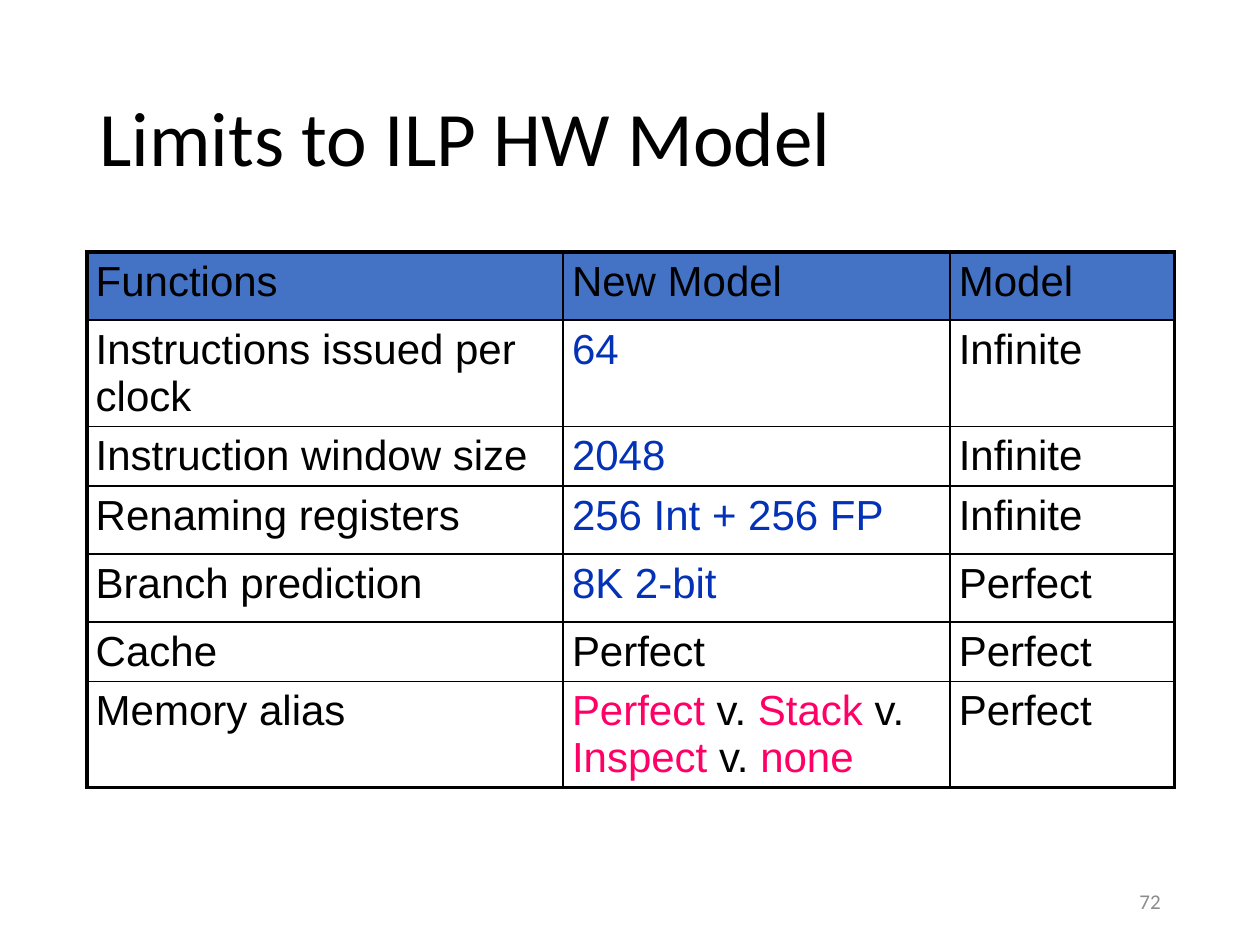
import pptx
import pptx.util
import pptx.dml.color
import pptx.enum.text
import pptx.oxml
import pptx.oxml.ns

Inches, Pt = pptx.util.Inches, pptx.util.Pt
Align = pptx.enum.text.PP_ALIGN
Anchor = pptx.enum.text.MSO_ANCHOR
RGB = pptx.dml.color.RGBColor.from_string

HUES = {"ink": "000000", "head": "4472C4", "paper": "FFFFFF",
        "blue": "0332B7", "pink": "FF0066", "gray": "8C8C8C"}


def write(frame, text, size=24, font="Arial", hue="ink", align=Align.LEFT, space=None):
    """Fill the frame's first paragraph; text is a string or (text, hue) pairs."""
    para = frame.paragraphs[0]
    para.alignment, para.line_spacing = align, space
    for part, tint in [(text, hue)] if isinstance(text, str) else text:
        run = para.add_run()
        run.text = part
        run.font.size, run.font.name = Pt(size), font
        run.font.color.rgb = RGB(HUES[tint])


def edge(cell, side, width):
    line = pptx.oxml.parse_xml(
        f'<a:{side} {pptx.oxml.ns.nsdecls("a")} w="{Pt(width)}"><a:solidFill>'
        f'<a:srgbClr val="{HUES["ink"]}"/></a:solidFill></a:{side}>')
    props = cell._tc.get_or_add_tcPr()
    props.append(line)


deck = pptx.Presentation()
deck.slide_width, deck.slide_height = Inches(10), Inches(7.5)
slide = deck.slides.add_slide(deck.slide_layouts[5])
left, wide = Inches(0.69), Inches(8.62)

title = slide.shapes.title
title.left, title.top, title.width, title.height = left, Inches(0.4), wide, Inches(1.45)
title.text_frame.vertical_anchor = Anchor.MIDDLE
write(title.text_frame, "Limits to ILP HW Model", size=44, font="Calibri", space=0.9)

alias = [("Perfect ", "pink"), ("v.", "ink"), (" Stack ", "pink"), ("v. ", "ink"),
         ("Inspect ", "pink"), ("v.", "ink"), (" none", "pink")]
rows = [
    (0.54, "Functions", "New Model", "Model"),
    (0.74, "Instructions issued per clock", [("64", "blue")], "Infinite"),
    (0.31, "Instruction window size", [("2048", "blue")], "Infinite"),
    (0.54, "Renaming registers", [("256 Int + 256 FP", "blue")], "Infinite"),
    (0.54, "Branch prediction", [("8K 2-bit", "blue")], "Perfect"),
    (0.29, "Cache", "Perfect", "Perfect"),
    (0.74, "Memory alias", alias, "Perfect"),
]
cols = [3.78, 3.07, 1.78]
last = len(rows) - 1, len(cols) - 1

table = slide.shapes.add_table(len(rows), len(cols), left, Inches(2), wide,
                               Inches(sum(row[0] for row in rows))).table
for col, width in zip(table.columns, cols):
    col.width = Inches(width)
for r, (height, *texts) in enumerate(rows):
    table.rows[r].height = Inches(height)
    for c, text in enumerate(texts):
        cell = table.cell(r, c)
        cell.margin_left = cell.margin_right = Inches(0.07)
        cell.margin_top = cell.margin_bottom = Inches(0.05)
        write(cell.text_frame, text)
        # Borders must come before the fill in the cell's XML.
        outer = {"lnL": c == 0, "lnR": c == last[1], "lnT": r == 0, "lnB": r == last[0]}
        for side, thick in outer.items():
            edge(cell, side, 2.25 if thick else 1)
        cell.fill.solid()
        cell.fill.fore_color.rgb = RGB(HUES["paper" if r else "head"])

page = slide.shapes.add_textbox(Inches(7.06), Inches(6.95), Inches(2.25), Inches(0.4))
page.text_frame.word_wrap = True
page.text_frame.vertical_anchor = Anchor.MIDDLE
write(page.text_frame, "72", size=12, font="Calibri", hue="gray", align=Align.RIGHT)

deck.save("out.pptx")
